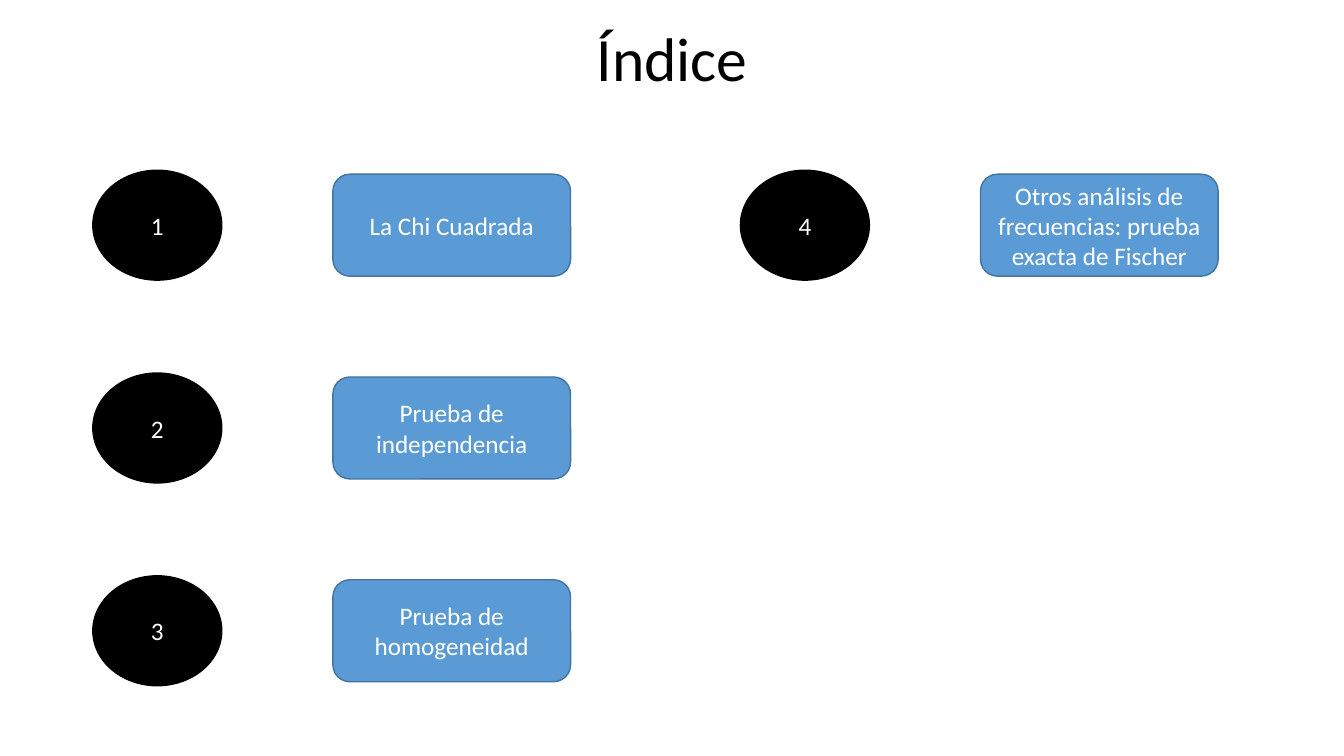
"""Build the "Índice" slide: numbered ellipses beside topic boxes, three per column."""
from pptx import Presentation
from pptx.dml.color import RGBColor
from pptx.enum.shapes import MSO_SHAPE
from pptx.enum.text import MSO_ANCHOR, PP_ALIGN
from pptx.util import Cm, Pt

COLORS = {"black": "000000", "white": "FFFFFF", "blue": "5B9BD5", "edge": "43739E"}
TOPICS = [
    "La Chi Cuadrada",
    "Prueba de independencia",
    "Prueba de homogeneidad",
    "Otros análisis de frecuencias: prueba exacta de Fischer",
]
ROWS = 3
COL_STEP, ROW_STEP = 16.32, 5.11


def write(sp, text, size, color):
    tf = sp.text_frame
    tf.word_wrap = True
    tf.vertical_anchor = MSO_ANCHOR.MIDDLE
    p = tf.paragraphs[0]
    p.text = text
    p.alignment = PP_ALIGN.CENTER
    p.font.name = "Calibri"
    p.font.size = Pt(size)
    p.font.color.rgb = RGBColor.from_string(COLORS[color])
    return p


def add_box(s, kind, x, y, w, h, fill, line, text):
    sp = s.shapes.add_shape(kind, Cm(x), Cm(y), Cm(w), Cm(h))
    sp.shadow.inherit = False
    sp.fill.solid()
    sp.fill.fore_color.rgb = RGBColor.from_string(COLORS[fill])
    sp.line.color.rgb = RGBColor.from_string(COLORS[line])
    sp.line.width = Pt(1)
    write(sp, text, 18, "white")


prs = Presentation()
prs.slide_width, prs.slide_height = Cm(33.87), Cm(19.05)
s = prs.slides.add_slide(prs.slide_layouts[6])

title = s.shapes.add_textbox(Cm(2.34), Cm(0.43), Cm(29.21), Cm(2.26))
write(title, "Índice", 44, "black").line_spacing = 0.9

for i, topic in enumerate(TOPICS):
    col, row = divmod(i, ROWS)
    x, y = 2.34 + col * COL_STEP, 4.29 + row * ROW_STEP
    add_box(s, MSO_SHAPE.OVAL, x, y, 3.25, 2.77, "black", "black", str(i + 1))
    add_box(s, MSO_SHAPE.ROUNDED_RECTANGLE, x + 6.05, y + 0.1, 5.99, 2.57,
            "blue", "edge", topic)

prs.save("out.pptx")
